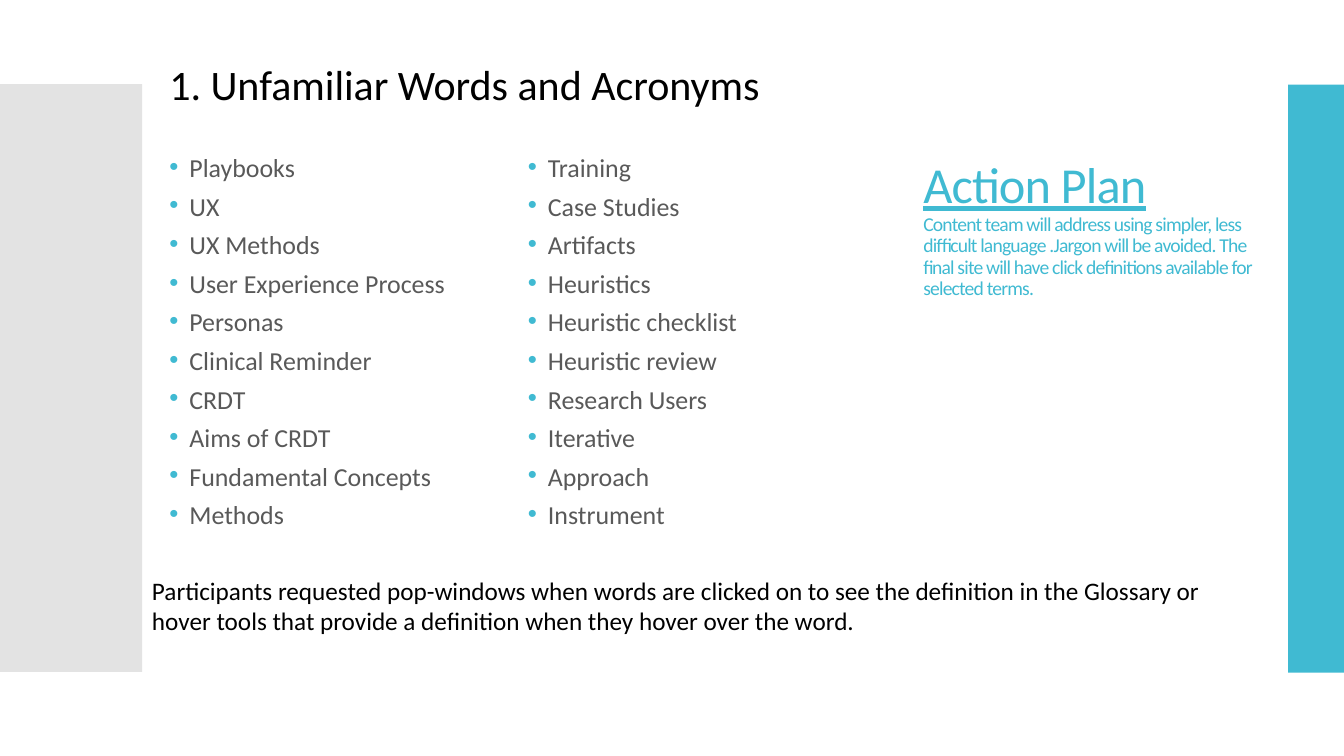
"""Build the slide on unfamiliar words and acronyms."""
from dataclasses import dataclass

from pptx import Presentation
from pptx import util as u
from pptx.dml.color import RGBColor
from pptx.enum import shapes, text
from pptx.oxml import parse_xml
from pptx.oxml.ns import nsdecls, qn

COLOURS = {"teal": "40BAD2", "grey": "C8C8C8", "body": "595959", "black": "000000"}
FONT = "Calibri"
TERMS = [
    "Playbooks", "UX", "UX Methods", "User Experience Process", "Personas",
    "Clinical Reminder", "CRDT", "Aims of CRDT", "Fundamental Concepts", "Methods",
    "Training", "Case Studies", "Artifacts", "Heuristics", "Heuristic checklist",
    "Heuristic review", "Research Users", "Iterative", "Approach", "Instrument",
]
HEADING = "1. Unfamiliar Words and Acronyms"
REQUEST = (
    "Participants requested pop-windows when words are clicked on to see the definition "
    "in the Glossary or hover tools that provide a definition when they hover over the word."
)
ACTION = "Action Plan"
PLAN = (
    "Content team will address using simpler, less difficult language .Jargon will be "
    "avoided. The final site will have click definitions available for selected terms. "
)


@dataclass
class Area:
    """A rectangle on the page, in points."""

    left: float
    top: float
    width: float
    height: float

    def lengths(self) -> list:
        """Return the four measures as slide lengths."""
        return [u.Pt(n) for n in (self.left, self.top, self.width, self.height)]


@dataclass
class Band:
    """A coloured side band."""

    area: Area
    colour: str
    opacity: int = 100


@dataclass
class Block:
    """A text box with one style throughout."""

    area: Area
    lines: list
    size: float
    colour: str
    wrap: bool = True
    columns: int = 1
    bullets: bool = False


BANDS = [
    Band(Area(0, 60, 101.5, 420), "grey", 50),
    Band(Area(920, 60.4, 40, 420), "teal"),
]
BLOCKS = [
    Block(Area(113.8, 110.9, 526.3, 285.1), TERMS, 18.5, "body", columns=2, bullets=True),
    Block(Area(113.8, 38.2, 442.8, 43.6), [HEADING], 30, "black", wrap=False),
    Block(Area(101.5, 407.5, 779.8, 72.7), [REQUEST], 18, "black"),
]
TITLE_AREA = Area(652.3, 110.9, 255.6, 369.4)


def style_span(span, size: float, colour: str) -> None:
    """Give a run its font, size and colour."""
    span.font.name = FONT
    span.font.size = u.Pt(size)
    span.font.color.rgb = RGBColor.from_string(COLOURS[colour])


def add_bullet(para) -> None:
    """Set a hanging teal bullet and tight line spacing."""
    para.line_spacing = 0.7
    para.space_before = u.Pt(12)
    settings = para._p.get_or_add_pPr()
    settings.set("marL", str(u.Pt(14.4)))
    settings.set("indent", str(-u.Pt(14.4)))
    settings.append(parse_xml(
        f'<a:buClr {nsdecls("a")}><a:srgbClr val="{COLOURS["teal"]}"/></a:buClr>'))
    settings.append(parse_xml(f'<a:buFont {nsdecls("a")} typeface="Arial"/>'))
    settings.append(parse_xml(f'<a:buChar {nsdecls("a")} char="•"/>'))


def add_band(page, band: Band) -> None:
    """Draw a side band."""
    box = page.shapes.add_shape(shapes.MSO_SHAPE.RECTANGLE, *band.area.lengths())
    box.shadow.inherit = False
    box.line.fill.background()
    box.fill.solid()
    box.fill.fore_color.rgb = RGBColor.from_string(COLOURS[band.colour])
    if band.opacity < 100:
        colour = box._element.spPr.find(".//" + qn("a:srgbClr"))
        colour.append(parse_xml(f'<a:alpha {nsdecls("a")} val="{band.opacity * 1000}"/>'))


def add_block(page, block: Block) -> None:
    """Draw a text box with its paragraphs."""
    frame = page.shapes.add_textbox(*block.area.lengths()).text_frame
    frame.word_wrap = block.wrap
    frame.text = "\n".join(block.lines)
    if block.columns > 1:
        frame._txBody.bodyPr.set("numCol", str(block.columns))
    for para in frame.paragraphs:
        if block.bullets:
            add_bullet(para)
        for span in para.runs:
            style_span(span, block.size, block.colour)


def fill_title(page) -> None:
    """Place and format the action plan in the title placeholder."""
    title = page.shapes.title
    title.left, title.top, title.width, title.height = TITLE_AREA.lengths()
    frame = title.text_frame
    frame.text = f"{ACTION}\v{PLAN}"
    frame.word_wrap = True
    frame.auto_size = text.MSO_AUTO_SIZE.NONE
    frame.vertical_anchor = text.MSO_ANCHOR.TOP
    para = frame.paragraphs[0]
    para.alignment = text.PP_ALIGN.LEFT
    para.line_spacing = 0.9
    for span, size in zip(para.runs, (36, 14)):
        style_span(span, size, "teal")
        span.font.underline = size == 36
        span._r.get_or_add_rPr().set("spc", "-60")


def main() -> None:
    """Build and save the deck."""
    deck = Presentation()
    deck.slide_width, deck.slide_height = u.Pt(960), u.Pt(540)
    page = deck.slides.add_slide(deck.slide_layouts[5])
    fill_title(page)
    for band in BANDS:
        add_band(page, band)
    for block in BLOCKS:
        add_block(page, block)
    deck.save("out.pptx")


if __name__ == "__main__":
    main()
